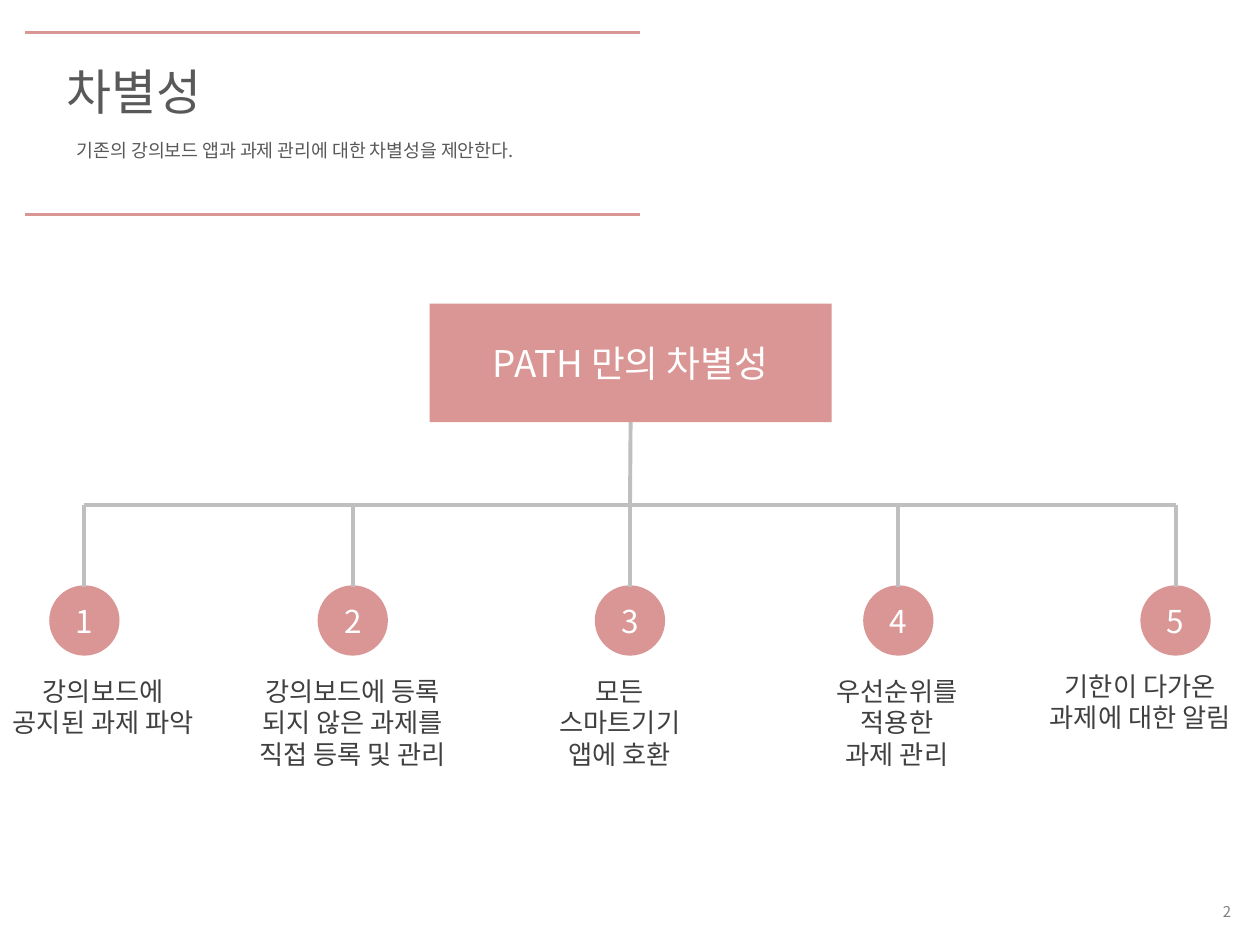
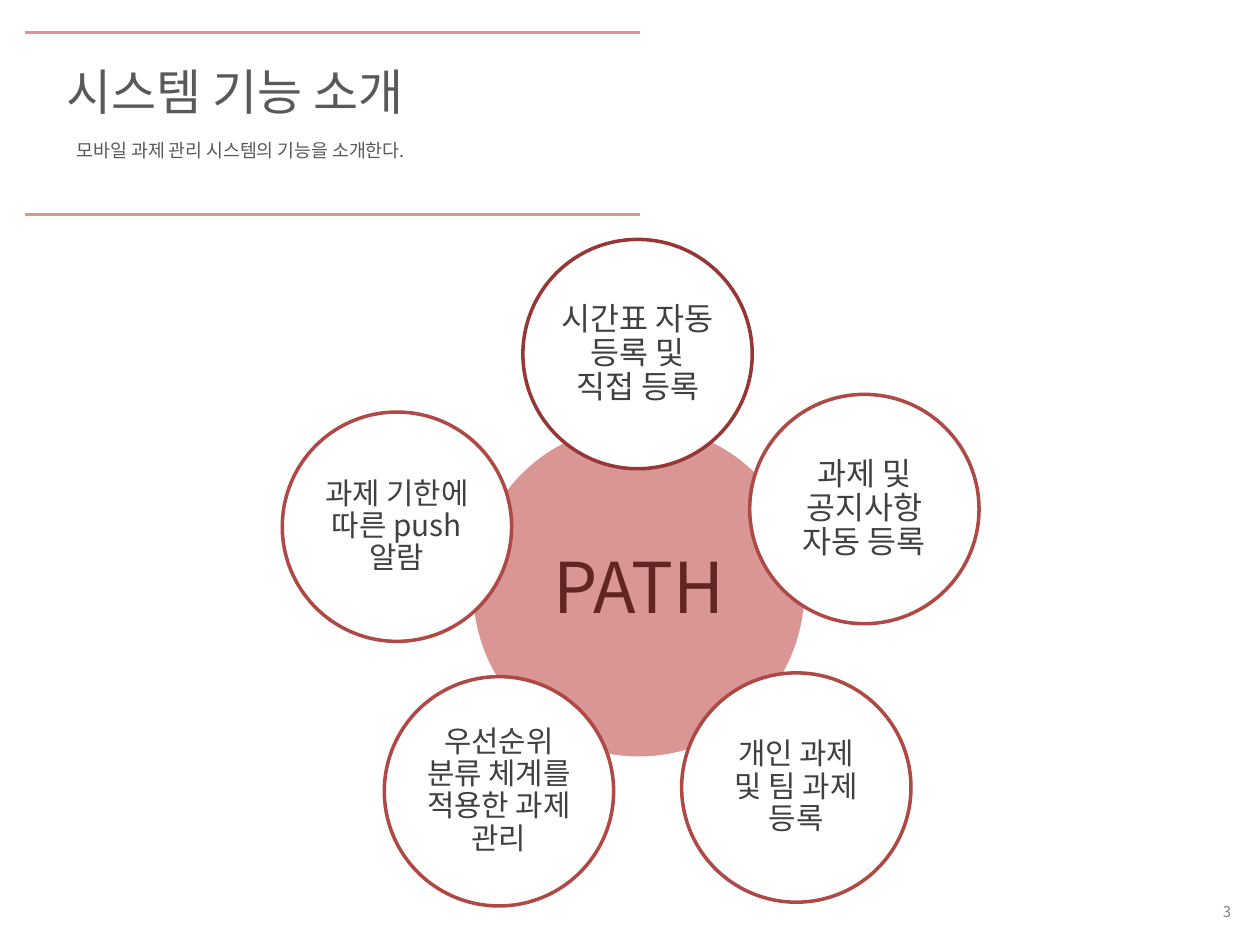
from dataclasses import dataclass

from lxml.etree import SubElement
from pptx import Presentation
from pptx.dml.color import RGBColor
from pptx.enum.shapes import MSO_CONNECTOR, MSO_SHAPE
from pptx.enum.text import MSO_ANCHOR, MSO_AUTO_SIZE, PP_ALIGN
from pptx.oxml.ns import qn
from pptx.util import Emu, Inches, Pt


@dataclass(frozen=True)
class Theme:
    font: str = "Noto Sans CJK KR"
    rose: str = "D99694"
    dark_red: str = "953735"
    red: str = "AE4946"
    maroon: str = "632523"
    white: str = "FFFFFF"
    heading: str = "595959"
    body: str = "404040"
    number: str = "808080"
    branch: str = "BFBFBF"
    title_size: float = 28
    subtitle_size: float = 10.5
    number_size: float = 8.5
    root_size: float = 21
    badge_size: float = 18
    label_size: float = 15
    hub_size: float = 40


theme = Theme()
presentation = Presentation()
presentation.slide_width, presentation.slide_height = Inches(10), Inches(7.5)
presentation.element.set("firstSlideNum", "2")

# The grid has 100 columns and 75 rows of square cells
CELL = presentation.slide_width / 100


def grid(*cells):
    return [Emu(round(cell * CELL)) for cell in cells]


def write(shape, text, *, size, color, align=PP_ALIGN.CENTER, anchor=MSO_ANCHOR.TOP,
          line_spacing=None, side_inset=1):
    frame = shape.text_frame
    frame.word_wrap = True
    frame.auto_size = MSO_AUTO_SIZE.NONE
    frame.vertical_anchor = anchor
    frame.margin_left = frame.margin_right = grid(side_inset)[0]
    frame.text = text
    for paragraph in frame.paragraphs:
        paragraph.alignment = align
        paragraph.space_before = Pt(0)
        if line_spacing:
            paragraph.line_spacing = line_spacing
        for run in paragraph.runs:
            run.font.size = Pt(size)
            run.font.color.rgb = RGBColor.from_string(color)
            run.font.name = theme.font
            SubElement(run.font._element, qn("a:ea"), typeface=theme.font)
    return frame


# Shared header and slide number
headers = [
    ("차별성", "기존의 강의보드 앱과 과제 관리에 대한 차별성을 제안한다."),
    ("시스템 기능 소개", "모바일 과제 관리 시스템의 기능을 소개한다."),
]
for number, (heading, summary) in enumerate(headers, start=2):
    slide = presentation.slides.add_slide(presentation.slide_layouts[1])
    title, subtitle = slide.shapes.title, slide.placeholders[1]
    title.left, title.top, title.width, title.height = grid(4.3, 4.4, 44.9, 5.7)
    subtitle.left, subtitle.top, subtitle.width, subtitle.height = grid(5.1, 9.9, 45.7, 3.2)
    write(title, heading, size=theme.title_size, color=theme.heading, align=PP_ALIGN.LEFT)
    frame = write(subtitle, summary, size=theme.subtitle_size, color=theme.heading,
                  align=PP_ALIGN.LEFT, line_spacing=Pt(17))
    properties = frame.paragraphs[0]._p.get_or_add_pPr()
    properties.set("marL", "0")
    properties.set("indent", "0")
    SubElement(properties, qn("a:buNone"))

    for row in (2.6, 17):
        rule = slide.shapes.add_connector(MSO_CONNECTOR.STRAIGHT, *grid(2, row, 50.8, row))
        rule.line.color.rgb = RGBColor.from_string(theme.rose)
        rule.line.width = Pt(1.5)

    number_box = slide.shapes.add_textbox(*grid(77.6, 71, 21.1, 2.7))
    frame = write(number_box, str(number), size=theme.number_size, color=theme.number,
                  align=PP_ALIGN.RIGHT, anchor=MSO_ANCHOR.MIDDLE)
    run = frame.paragraphs[0].runs[0]._r
    field = SubElement(run.getparent(), qn("a:fld"), type="slidenum",
                       id="{B6F15528-21DE-4FAA-801E-634DDDAF4B2B}")
    field.extend(list(run))
    run.getparent().remove(run)

tree_slide, hub_slide = presentation.slides

# Tree: root box
root = tree_slide.shapes.add_shape(MSO_SHAPE.RECTANGLE, *grid(34.1, 24.1, 31.9, 9.4))
root.fill.solid()
root.fill.fore_color.rgb = RGBColor.from_string(theme.rose)
root.line.fill.background()
write(root, "PATH 만의 차별성", size=theme.root_size, color=theme.white,
      anchor=MSO_ANCHOR.MIDDLE)

# Tree: trunk and rail
middle, rail_row = 50, 40.1
trunk = tree_slide.shapes.add_connector(
    MSO_CONNECTOR.STRAIGHT, *grid(middle, 33.5, middle, rail_row))
trunk.begin_connect(root, 2)
branches = [trunk]
for rail_end in (6.7, 93.3):
    branches.append(tree_slide.shapes.add_connector(
        MSO_CONNECTOR.STRAIGHT, *grid(middle, rail_row, rail_end, rail_row)))

# Tree: numbered badges, their drops and labels
# Each entry: badge centre, label centre, label width, label top, label
leaves = [
    (6.7, 8.2, 17, 53.1, "강의보드에 공지된 과제 파악"),
    (28, 28, 17.6, 53.1, "강의보드에 등록\n되지 않은 과제를\n직접 등록 및 관리"),
    (50, 49.2, 15, 53.1, "모든 스마트기기 앱에 호환"),
    (71.3, 71.2, 17, 53.1, "우선순위를 적용한\n과제 관리"),
    (93.3, 90.5, 17, 52.7, "기한이 다가온 과제에 대한 알림"),
]
badge_top, badge_size = 46.6, 5.3
for number, (center, label_center, width, top, label) in enumerate(leaves, start=1):
    badge = tree_slide.shapes.add_shape(
        MSO_SHAPE.OVAL, *grid(center - badge_size / 2, badge_top, badge_size, badge_size))
    badge.fill.solid()
    badge.fill.fore_color.rgb = RGBColor.from_string(theme.rose)
    badge.line.color.rgb = RGBColor.from_string(theme.rose)
    badge.line.width = Pt(2)
    write(badge, str(number), size=theme.badge_size, color=theme.white,
          anchor=MSO_ANCHOR.MIDDLE, side_inset=0)

    drop = tree_slide.shapes.add_connector(
        MSO_CONNECTOR.STRAIGHT, *grid(center, rail_row, center, badge_top))
    drop.end_connect(badge, 0)
    branches.append(drop)

    label_box = tree_slide.shapes.add_textbox(
        *grid(label_center - width / 2, top, width, 8.6))
    write(label_box, label, size=theme.label_size, color=theme.body)

for branch in branches:
    branch.line.color.rgb = RGBColor.from_string(theme.branch)
    branch.line.width = Pt(2.25)

# Hub: central circle first, then the five functions clockwise from the top
# Each entry: left, top, diameter, fill, outline, text, size, text colour
circles = [
    (37.7, 33.9, 26, theme.rose, theme.rose, "PATH", theme.hub_size, theme.maroon),
    (41.5, 19, 18.2, theme.white, theme.dark_red,
     "시간표 자동 등록 및\v직접 등록", 18, theme.body),
    (59.5, 31.3, 18.2, theme.white, theme.red, "과제 및 공지사항 자동 등록", 18, theme.body),
    (54.1, 53.4, 18.2, theme.white, theme.red, "개인 과제\v및 팀 과제 등록", 17, theme.body),
    (30.5, 53.7, 18.2, theme.white, theme.red,
     "우선순위 분류 체계를 적용한 과제 관리", 17, theme.body),
    (22.4, 32.7, 18.2, theme.white, theme.red, "과제 기한에 따른 push 알람", 17, theme.body),
]
for left, top, diameter, fill, outline, text, size, color in circles:
    circle = hub_slide.shapes.add_shape(MSO_SHAPE.OVAL, *grid(left, top, diameter, diameter))
    circle.fill.solid()
    circle.fill.fore_color.rgb = RGBColor.from_string(fill)
    circle.line.color.rgb = RGBColor.from_string(outline)
    circle.line.width = Pt(2)
    write(circle, text, size=size, color=color, anchor=MSO_ANCHOR.MIDDLE,
          line_spacing=0.9, side_inset=0)

# No shadows anywhere
for slide in presentation.slides:
    for shape in slide.shapes:
        if not shape.is_placeholder:
            SubElement(shape._element.spPr, qn("a:effectLst"))

presentation.save("out.pptx")
